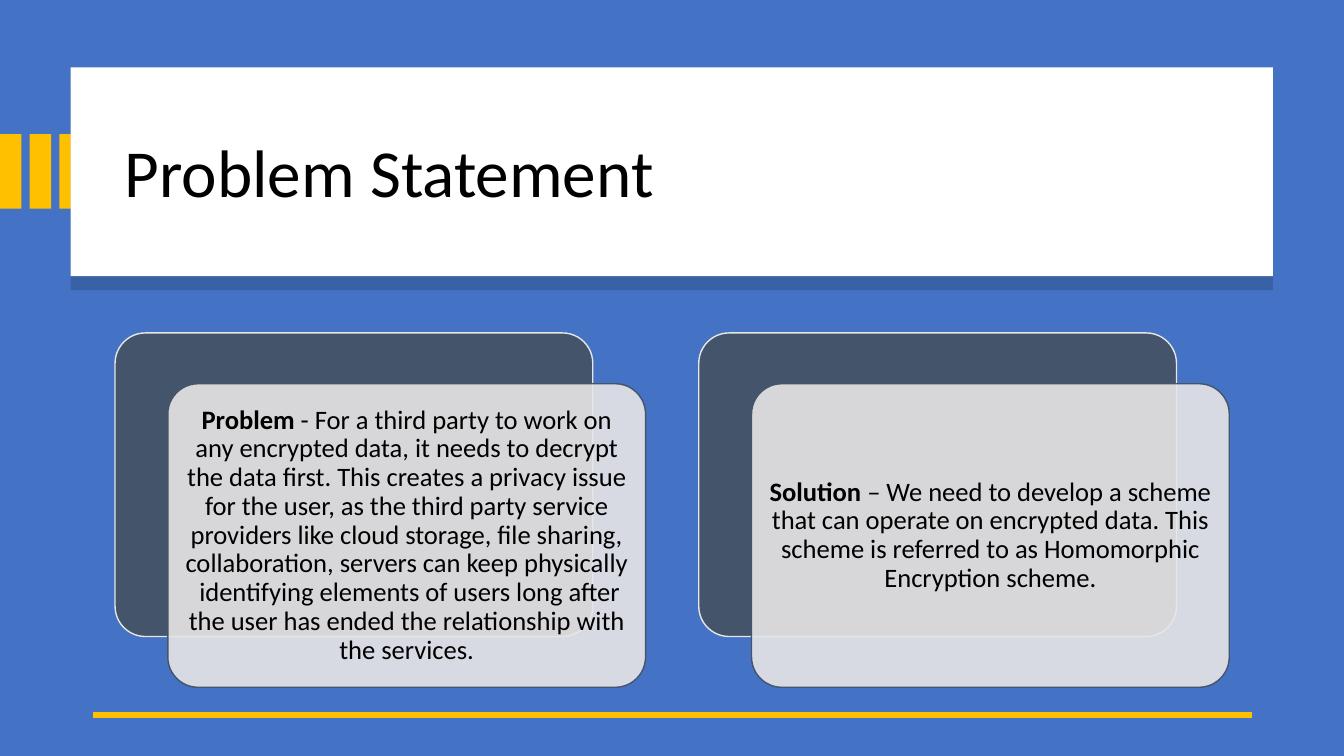
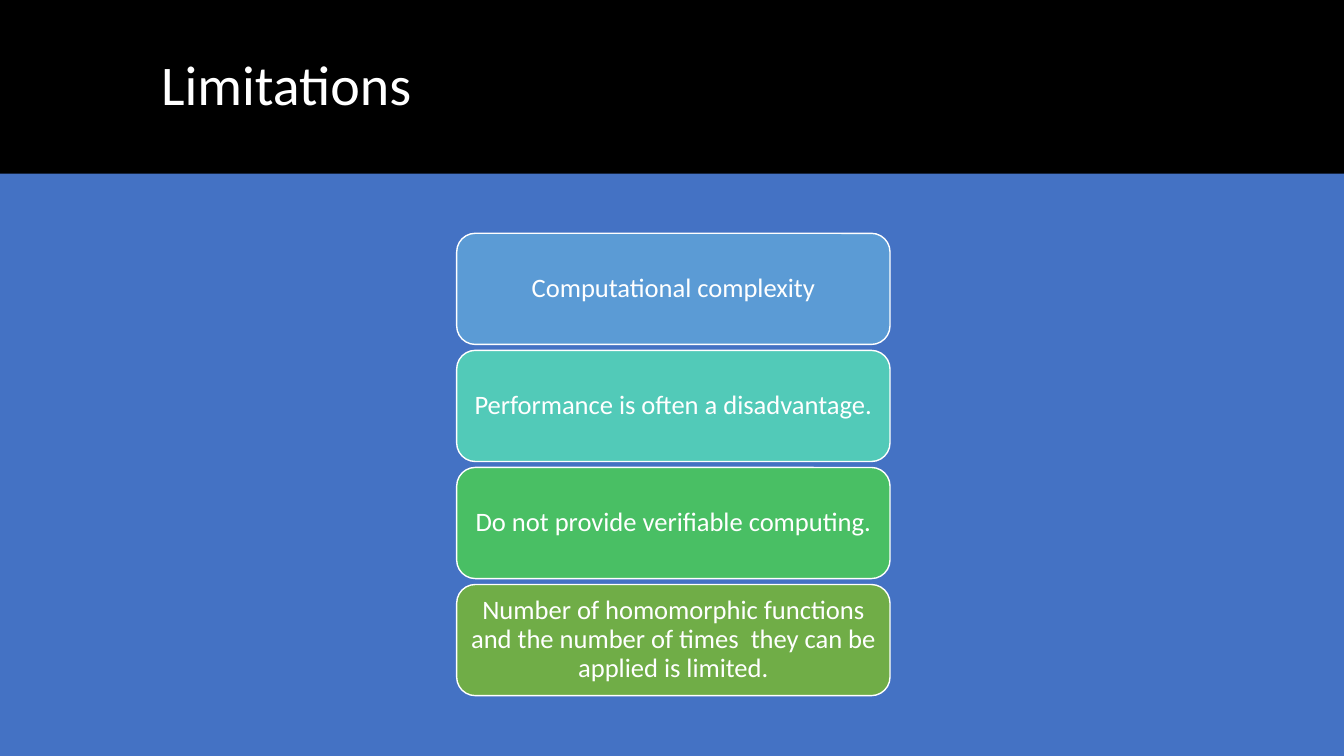
"""Build two slides on homomorphic encryption: the problem and the limitations."""
from lxml import etree
from pptx import Presentation
from pptx import util as u
from pptx.dml.color import RGBColor
from pptx.enum import shapes, text
from pptx.oxml import ns

WIDE, HIGH = 33.87, 19.05
HUES = {
    "back": "4472C4", "gold": "FFC000", "white": "FFFFFF", "black": "000000",
    "slate": "44546A", "pale": "E7E6E6", "blue": "5B9BD5", "teal": "52CAB8",
    "green": "49BF64", "olive": "70AD47",
}


def hue(name):
    return RGBColor.from_string(HUES[name])


def sub(node, tag, **attrs):
    return etree.SubElement(node, ns.qn(tag), attrs)


def write(frame, words, lead="", size=19, color="black", center=True, after=8, pad=(0.2, 0.1)):
    frame.word_wrap = True
    frame.vertical_anchor = text.MSO_ANCHOR.MIDDLE
    frame.margin_left = frame.margin_right = u.Cm(pad[0])
    frame.margin_top = frame.margin_bottom = u.Cm(pad[1])
    para = frame.paragraphs[0]
    para.alignment = text.PP_ALIGN.CENTER if center else text.PP_ALIGN.LEFT
    para.line_spacing = 0.9
    para.space_after = u.Pt(after)
    for part, bold in ((lead, True), (words, False)):
        if part:
            run = para.add_run()
            run.text = part
            run.font.name = "Calibri"
            run.font.size = u.Pt(size)
            run.font.bold = bold
            run.font.color.rgb = hue(color)


class Deck:
    def __init__(self):
        self.show = Presentation()
        self.show.slide_width, self.show.slide_height = u.Cm(WIDE), u.Cm(HIGH)
        self.slide = None

    def page(self):
        self.slide = self.show.slides.add_slide(self.show.slide_layouts[6])
        fill = self.slide.background.fill
        fill.solid()
        fill.fore_color.rgb = hue("back")

    def title(self, words, box, size, color):
        label = self.slide.shapes.add_textbox(*map(u.Cm, box))
        write(label.text_frame, words, size=size, color=color, center=False,
              after=0, pad=(0.25, 0.13))

    def block(self, box, fill, edge=None, curve=None, alpha=None):
        kind = shapes.MSO_SHAPE.ROUNDED_RECTANGLE if curve else shapes.MSO_SHAPE.RECTANGLE
        shape = self.slide.shapes.add_shape(kind, *map(u.Cm, box))
        shape.shadow.inherit = False
        shape.fill.solid()
        shape.fill.fore_color.rgb = hue(fill)
        if curve:
            shape.adjustments[0] = curve
        if alpha:
            tint = shape.element.spPr.find(ns.qn("a:solidFill"))[0]
            sub(tint, "a:alpha", val=str(alpha * 1000))
        if edge:
            shape.line.color.rgb = hue(edge)
            shape.line.width = u.Pt(1)
        else:
            shape.line.fill.background()
        return shape

    def panel(self, box):
        shape = self.block(box, "white")
        effects = shape.element.spPr.find(ns.qn("a:effectLst"))
        shade = sub(effects, "a:outerShdw", blurRad="0", dist=str(u.Pt(10)),
                    dir="5400000", algn="t", rotWithShape="0")
        tint = sub(shade, "a:srgbClr", val=HUES["black"])
        sub(tint, "a:alpha", val="15000")

    def rule(self, left, right, top):
        line = self.slide.shapes.add_connector(
            shapes.MSO_CONNECTOR.STRAIGHT, u.Cm(left), u.Cm(top), u.Cm(right), u.Cm(top))
        line.line.color.rgb = hue("gold")
        line.line.width = u.Pt(4.5)
        sub(line.element.spPr, "a:effectLst")

    def card(self, left, top, lead, words):
        size = (12.04, 7.65)
        self.block((left, top, *size), "slate", "pale", 0.1)
        front = self.block((left + 1.33, top + 1.28, *size), "pale", "slate", 0.1, 90)
        write(front.text_frame, words, lead)

    def item(self, box, fill, words):
        shape = self.block(box, fill, "white", 0.167)
        write(shape.text_frame, words, color="white")


def problem(deck):
    deck.page()
    for i in range(3):
        deck.block((i * 0.75, 3.38, 0.54, 1.88), "gold")
    deck.panel((1.78, 1.7, 30.3, 5.26))
    deck.title("Problem Statement", (2.9, 2.26, 28.27, 4.32), 48, "black")
    deck.rule(2.34, 31.55, 18.01)
    cards = [
        ("Problem", " - For a third party to work on any encrypted data, it needs to decrypt "
         "the data first. This creates a privacy issue for the user, as the third party "
         "service providers like cloud storage, file sharing, collaboration, servers can "
         "keep physically  identifying elements of users long after the user has ended "
         "the relationship with the services."),
        ("Solution ", "– We need to develop a scheme that can operate on encrypted data. "
         "This scheme is referred to as Homomorphic Encryption scheme."),
    ]
    for i, (lead, words) in enumerate(cards):
        deck.card(2.9 + i * 14.71, 8.39, lead, words)


def limits(deck):
    deck.page()
    deck.block((0, 0, WIDE, 4.38), "black")
    deck.title("Limitations", (3.81, 0.97, 27.89, 2.44), 40, "white")
    items = [
        ("blue", "Computational complexity"),
        ("teal", "Performance is often a disadvantage."),
        ("green", "Do not provide verifiable computing."),
        ("olive", "Number of homomorphic functions and the number of times  they can be "
         "applied is limited."),
    ]
    for i, (fill, words) in enumerate(items):
        deck.item((11.51, 5.88 + i * 2.95, 10.92, 2.8), fill, words)


def main():
    deck = Deck()
    problem(deck)
    limits(deck)
    deck.show.save("out.pptx")


if __name__ == "__main__":
    main()
